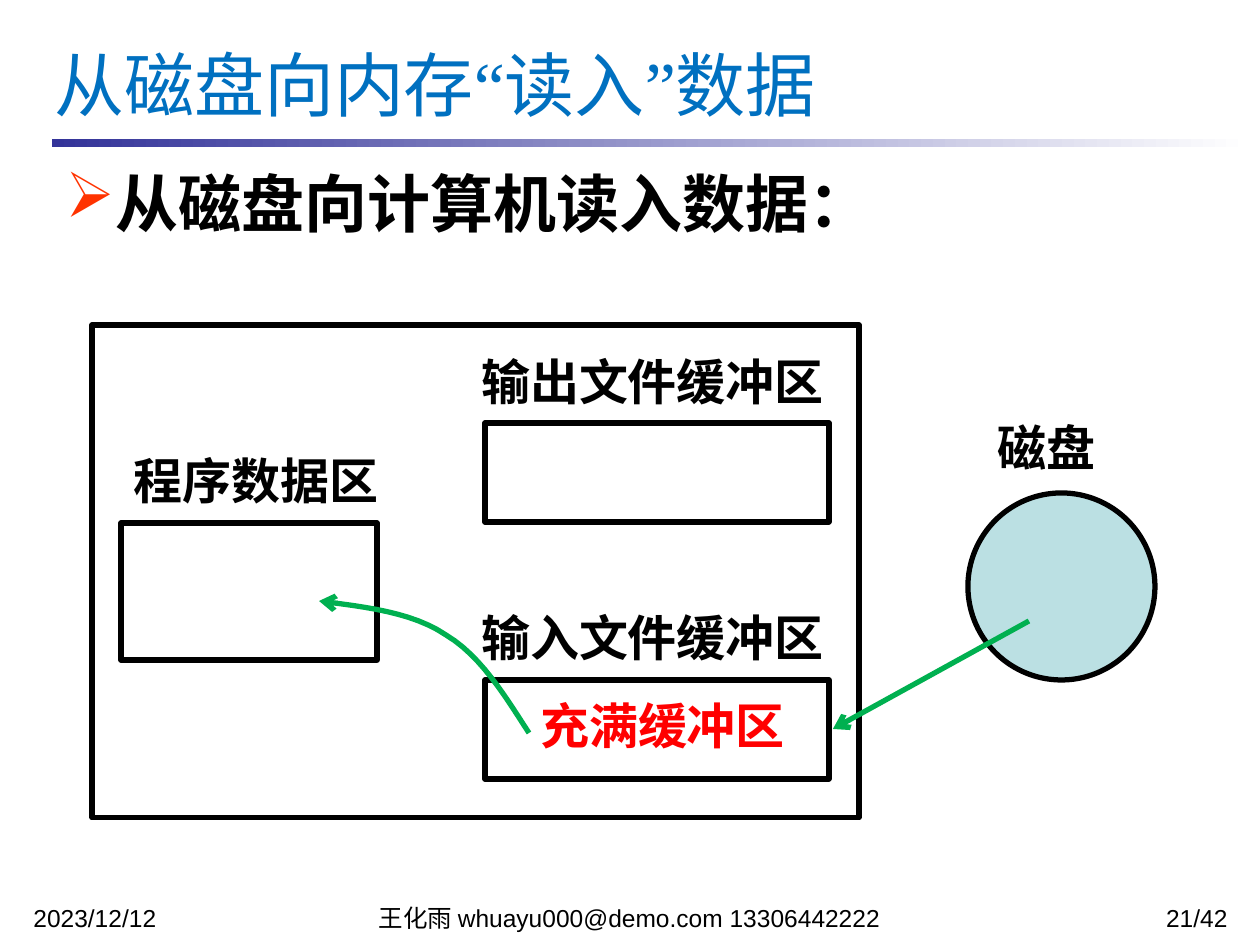
import pptx
import pptx.util
import pptx.dml.color
import pptx.enum.shapes
import pptx.enum.text
import pptx.oxml
import pptx.oxml.ns
import lxml.etree

PX = 914400 // 126
COLORS = {"black": "000000", "title": "0070C0", "bullet": "FF3300", "red": "FF0000",
          "green": "00B050", "disk": "BBE0E3", "bar": "333399", "white": "FFFFFF"}
CJK = "Noto Sans CJK SC"
ALIGN = pptx.enum.text.PP_ALIGN
SHAPE = pptx.enum.shapes.MSO_SHAPE
qn = pptx.oxml.ns.qn
rgb = pptx.dml.color.RGBColor.from_string

deck = pptx.Presentation()
deck.slide_width, deck.slide_height = 1260 * PX, 945 * PX
page = deck.slides.add_slide(deck.slide_layouts[6])


def add_text(left, top, width, height, spans, size, color="black", align=ALIGN.LEFT, bold=False):
    box = page.shapes.add_textbox(left * PX, top * PX, width * PX, height * PX)
    box.text_frame.word_wrap = True
    para = box.text_frame.paragraphs[0]
    para.alignment = align
    for text, latin, asian in spans:
        span = para.add_run()
        span.text = text
        span.font.name = latin
        span.font.size = pptx.util.Pt(size)
        span.font.bold = bold
        span.font.color.rgb = rgb(COLORS[color])
        lxml.etree.SubElement(span.font._element, qn("a:ea")).set("typeface", asian)
    return box


def style_line(shape, color, arrow=False):
    shape.line.color.rgb = rgb(COLORS[color])
    shape.line.width = pptx.util.Pt(3)
    if arrow:
        line = shape.line._get_or_add_ln()
        lxml.etree.SubElement(line, qn("a:tailEnd")).set("type", "arrow")


bar = page.shapes.add_shape(SHAPE.RECTANGLE, 52 * PX, 139 * PX, 1198 * PX, 8 * PX)
bar.shadow.inherit = False
bar.line.fill.background()
bar.fill.gradient()
bar.fill.gradient_angle = 0
for stop, color, position in zip(bar.fill.gradient_stops, ("bar", "white"), (0, 1)):
    stop.color.rgb = rgb(COLORS[color])
    stop.position = position

for left, width, text, align in [
    (21, 294, "2023/12/12", ALIGN.LEFT),
    (325, 609, "王化雨 whuayu000@demo.com 13306442222", ALIGN.CENTER),
    (998, 242, "21/42", ALIGN.RIGHT),
]:
    footer = add_text(left, 903, width, 23, [(text, "Arial", CJK)], 14, align=align)
    footer.text_frame.paragraphs[0].line_spacing = 0.8

title_spans = [(text, font, font) for text, font in [
    ("从磁盘向内存", CJK), ("“", "Times New Roman"), ("读入", CJK),
    ("”", "Times New Roman"), ("数据", CJK)]]
title = add_text(42, 21, 1177, 126, title_spans, 40, "title")
title.text_frame.vertical_anchor = pptx.enum.text.MSO_ANCHOR.MIDDLE

body = add_text(53, 158, 1177, 94, [("从磁盘向计算机读入数据：", CJK, CJK)], 36, bold=True)
props = body.text_frame.paragraphs[0]._p.get_or_add_pPr()
props.set("marL", str(48 * PX))
props.set("indent", str(-48 * PX))
bullet_color = lxml.etree.SubElement(props, qn("a:buClr"))
lxml.etree.SubElement(bullet_color, qn("a:srgbClr")).set("val", COLORS["bullet"])
lxml.etree.SubElement(props, qn("a:buChar")).set("char", "➢")

for kind, left, top, width, height in [
    (SHAPE.RECTANGLE, 92, 325, 767, 493),
    (SHAPE.RECTANGLE, 121, 523, 256, 137),
    (SHAPE.RECTANGLE, 485, 423, 344, 99),
    (SHAPE.RECTANGLE, 485, 680, 344, 99),
    (SHAPE.OVAL, 968, 493, 187, 187),
]:
    shape = page.shapes.add_shape(kind, left * PX, top * PX, width * PX, height * PX)
    shape.shadow.inherit = False
    style_line(shape, "black")
    if kind == SHAPE.OVAL:
        shape.fill.solid()
        shape.fill.fore_color.rgb = rgb(COLORS["disk"])
    else:
        shape.fill.background()

curves = [
    [(529, 733), (505, 696), (481, 656), (446, 635)],
    [(446, 635), (412, 612), (365, 607), (319, 601)],
]
steps = 12
points = []
for curve in curves:
    for step in range(1, steps + 1):
        t = step / steps
        weights = ((1 - t) ** 3, 3 * t * (1 - t) ** 2, 3 * t * t * (1 - t), t ** 3)
        points.append([round(sum(w * p[axis] for w, p in zip(weights, curve)) * PX)
                       for axis in (0, 1)])
builder = page.shapes.build_freeform(529 * PX, 733 * PX)
builder.add_line_segments(points, close=False)
read_path = builder.convert_to_shape()
read_path.shadow.inherit = False
read_path.fill.background()
style_line(read_path, "green", arrow=True)

for left, top, width, text, color, align in [
    (121, 444, 286, "程序数据区", "black", ALIGN.LEFT),
    (456, 345, 393, "输出文件缓冲区", "black", ALIGN.CENTER),
    (456, 601, 393, "输入文件缓冲区", "black", ALIGN.CENTER),
    (968, 411, 157, "磁盘", "black", ALIGN.CENTER),
    (515, 689, 295, "充满缓冲区", "red", ALIGN.CENTER),
]:
    add_text(left, top, width, 72, [(text, "Arial", CJK)], 28, color, align, True)

disk_arrow = page.shapes.add_connector(
    pptx.enum.shapes.MSO_CONNECTOR.STRAIGHT, 1029 * PX, 621 * PX, 833 * PX, 729 * PX)
style_line(disk_arrow, "green", arrow=True)
lxml.etree.SubElement(disk_arrow._element.spPr, qn("a:effectLst"))

deck.save("out.pptx")
